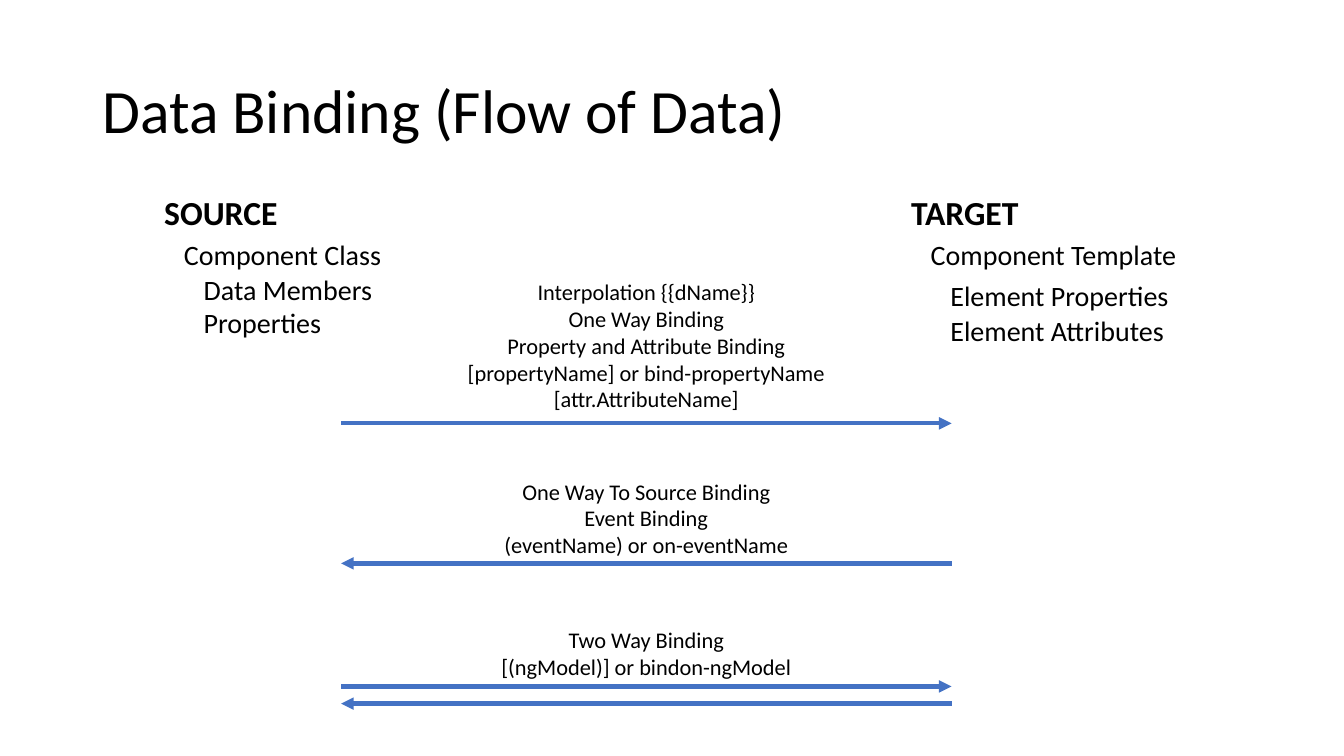
import pptx
import pptx.dml.color
import pptx.enum.shapes
import pptx.enum.text
import pptx.oxml.ns
import pptx.util
from lxml import etree

BLACK = pptx.dml.color.RGBColor(0x00, 0x00, 0x00)
BLUE = pptx.dml.color.RGBColor(0x44, 0x72, 0xC4)
LEFT, RIGHT = 25.38, 70.8
CENTER = (LEFT + RIGHT) / 2


class Deck:
    """Holds the style and current slide; lengths are percentages of the slide size."""

    font = "Calibri"
    indent = pptx.util.Inches(0.195)

    def __init__(self):
        self.prs = pptx.Presentation()
        self.prs.slide_width = pptx.util.Inches(13.333)
        self.prs.slide_height = pptx.util.Inches(7.5)
        self.s = self.prs.slides.add_slide(self.prs.slide_layouts[6])

    def x(self, share):
        return round(self.prs.slide_width * share / 100)

    def y(self, share):
        return round(self.prs.slide_height * share / 100)

    def frame(self, left, top, width, height):
        sp = self.s.shapes.add_textbox(self.x(left), self.y(top), self.x(width), self.y(height))
        tf = sp.text_frame
        tf.word_wrap = True
        return tf

    def style(self, p, text, size, bold=False):
        p.text = text
        p.font.name = self.font
        p.font.size = pptx.util.Pt(size)
        p.font.bold = bold
        p.font.color.rgb = BLACK

    def paragraphs(self, tf, lines):
        for i, text in enumerate(lines):
            yield tf.add_paragraph() if i else tf.paragraphs[0], text

    def title(self, text):
        tf = self.frame(6.88, 5.33, 86.25, 19.33)
        tf.vertical_anchor = pptx.enum.text.MSO_ANCHOR.MIDDLE
        p = tf.paragraphs[0]
        self.style(p, text, 44)
        p.line_spacing = 0.9

    def outline(self, left, width, height, lines, tall):
        tf = self.frame(left, 24.67, width, height)
        for level, (p, text) in enumerate(self.paragraphs(tf, lines)):
            heading = level == 0
            self.style(p, text, 24 if heading else 20, heading)
            p._p.get_or_add_pPr().set("marL", str(self.indent * min(level, 2)))
            if level in tall:
                p.space_before = pptx.util.Pt(4)
                p.space_after = pptx.util.Pt(1)

    def note(self, top, width, height, lines):
        tf = self.frame(CENTER - width / 2, top, width, height)
        for p, text in self.paragraphs(tf, lines):
            self.style(p, text, 16)
            p.alignment = pptx.enum.text.PP_ALIGN.CENTER

    def arrow(self, start, end, row):
        line = self.s.shapes.add_connector(
            pptx.enum.shapes.MSO_CONNECTOR.STRAIGHT,
            self.x(start), self.y(row), self.x(end), self.y(row))
        line.line.color.rgb = BLUE
        line.line.width = pptx.util.Pt(3)
        qn = pptx.oxml.ns.qn
        etree.SubElement(line.line._get_or_add_ln(), qn("a:tailEnd"), type="triangle")
        etree.SubElement(line._element.spPr, qn("a:effectLst"))


def main():
    deck = Deck()
    deck.title("Data Binding (Flow of Data)")
    deck.outline(11.48, 17.85, 21.07,
                 ["SOURCE", "Component Class", "Data Members", "Properties"], {1})
    deck.outline(67.05, 21.45, 22,
                 ["TARGET", "Component Template", "Element Properties", "Element Attributes"],
                 {1, 2})
    for start, end, row in [(LEFT, RIGHT, 56), (RIGHT, LEFT, 74.53),
                            (LEFT, RIGHT, 90.8), (RIGHT, LEFT, 93.07)]:
        deck.arrow(start, end, row)
    deck.note(36.13, 28.43, 19.33,
              ["Interpolation {{dName}}", "One Way Binding", "Property and Attribute Binding",
               "[propertyName] or bind-propertyName", "[attr.AttributeName]"])
    deck.note(62.53, 22.95, 12.13,
              ["One Way To Source Binding", "Event Binding", "(eventName) or on-eventName"])
    deck.note(82.13, 23.33, 8.53, ["Two Way Binding", "[(ngModel)] or bindon-ngModel"])
    deck.prs.save("out.pptx")


if __name__ == "__main__":
    main()
